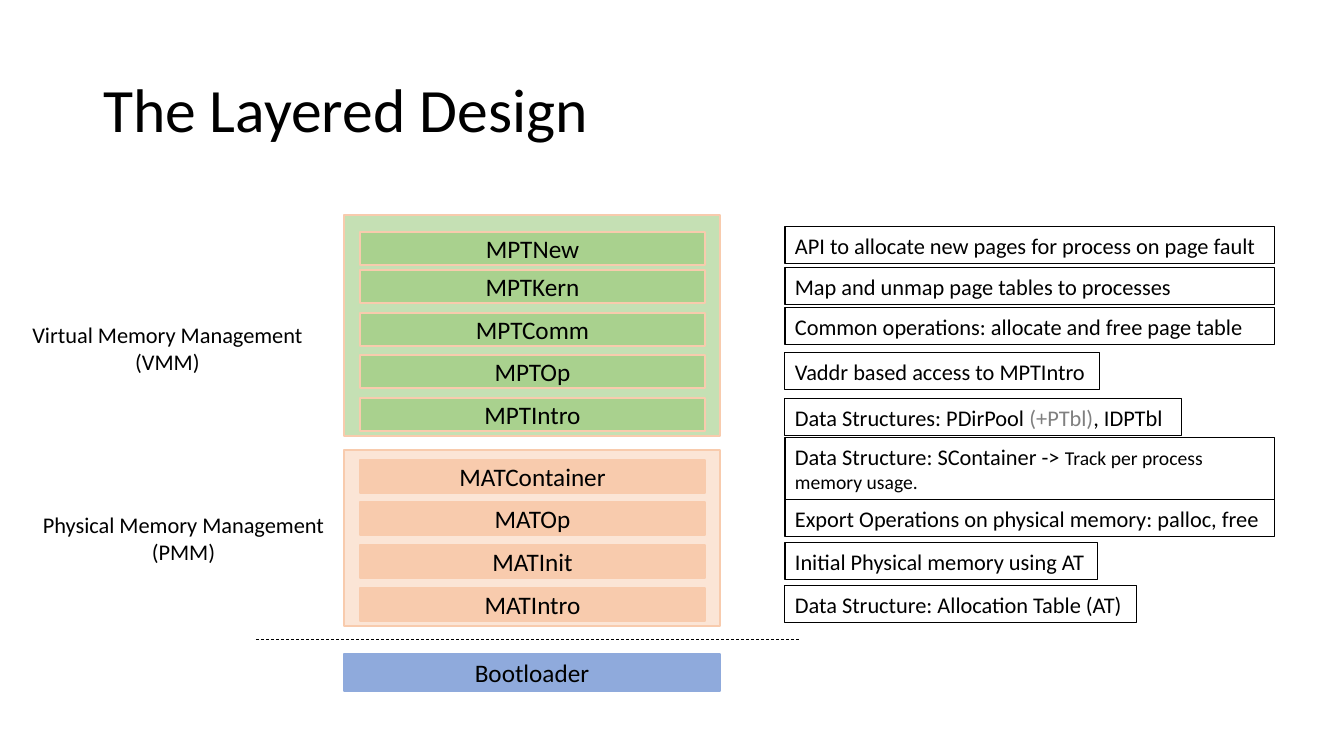
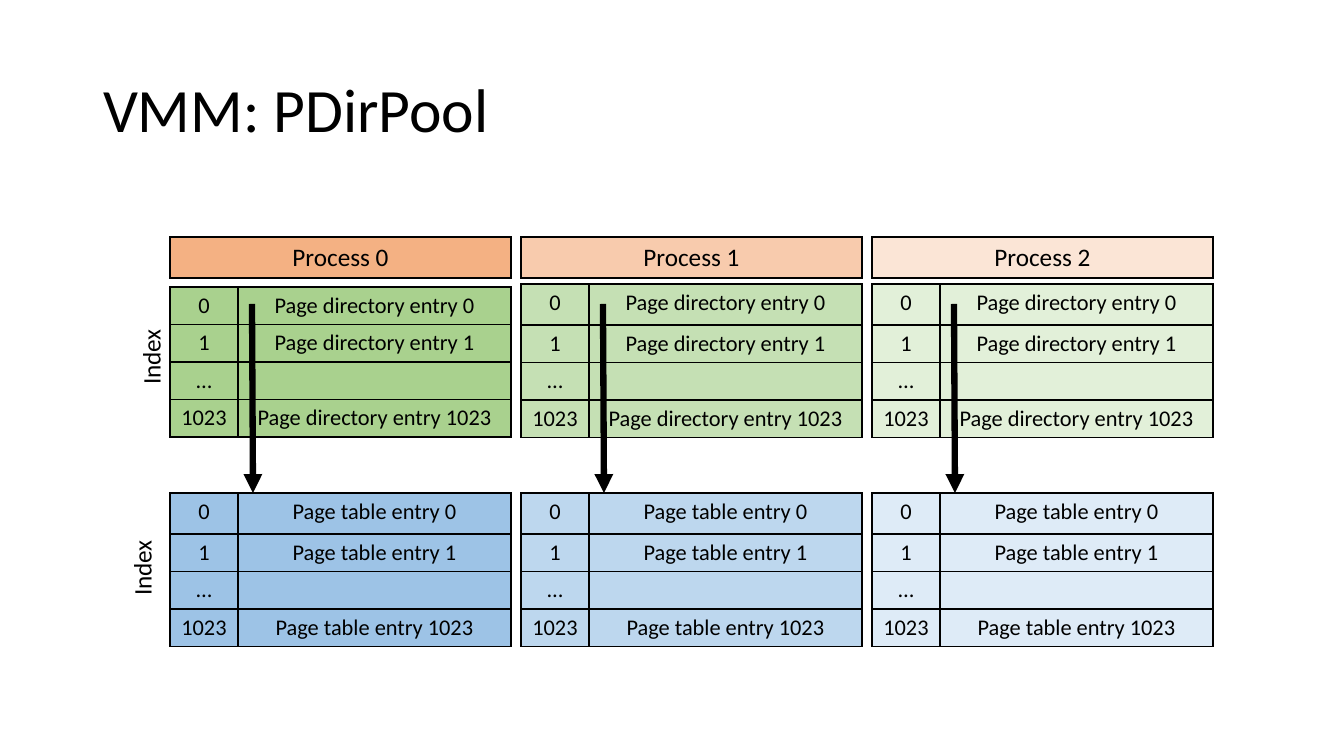
from lxml.etree import SubElement
from pptx import Presentation
from pptx.dml.color import RGBColor
from pptx.enum.dml import MSO_LINE
from pptx.enum.shapes import MSO_CONNECTOR, MSO_SHAPE
from pptx.enum.text import MSO_ANCHOR as ANCHOR, PP_ALIGN as ALIGN
from pptx.oxml.ns import qn
from pptx.util import Emu, Pt

SCALE = 914400 / 100.8
FONT = "Calibri"
BLACK, GREY = "000000", "808080"
GREEN, LIGHT_GREEN, PALE_GREEN = "A9D18E", "C5E0B4", "E2F0D9"
ORANGE, PEACH, PALE_PEACH = "F4B183", "F8CBAD", "FBE5D6"
BLUE, LIGHT_BLUE, PALE_BLUE = "9DC3E6", "BDD7EE", "DEEBF7"
BOOT_BLUE = "8FAADC"

PANEL_LEFT, PANEL_WIDTH = 344, 376
BAR_LEFT, BAR_WIDTH, BAR_HEIGHT = 360, 345, 33
NOTE_LEFT, NOTE_WIDTH, NOTE_HEIGHT = 785, 490, 37

VIRTUAL_LAYERS = [("MPTNew", 232), ("MPTKern", 270), ("MPTComm", 313),
                  ("MPTOp", 355), ("MPTIntro", 398)]
PHYSICAL_LAYERS = [("MATContainer", 460), ("MATOp", 502), ("MATInit", 545),
                   ("MATIntro", 588)]
NOTES = [
    (227, NOTE_WIDTH, NOTE_HEIGHT,
     [("API to allocate new pages for process on page fault", 16, BLACK)]),
    (268, NOTE_WIDTH, NOTE_HEIGHT,
     [("Map and unmap page tables to processes", 16, BLACK)]),
    (308, NOTE_WIDTH, NOTE_HEIGHT,
     [("Common operations: allocate and free page table", 16, BLACK)]),
    (353, 315, NOTE_HEIGHT, [("Vaddr based access to MPTIntro", 16, BLACK)]),
    (399, 397, NOTE_HEIGHT,
     [("Data Structures: PDirPool ", 16, BLACK), ("(+PTbl)", 16, GREY),
      (", IDPTbl", 16, BLACK)]),
    (438, NOTE_WIDTH, 62,
     [("Data Structure: SContainer -> ", 16, BLACK),
      ("Track per process memory usage.", 14, BLACK)]),
    (500, NOTE_WIDTH, NOTE_HEIGHT,
     [("Export Operations on physical memory: palloc, free", 16, BLACK)]),
    (543, 313, NOTE_HEIGHT, [("Initial Physical memory using AT", 16, BLACK)]),
    (586, 352, NOTE_HEIGHT,
     [("Data Structure: Allocation Table (AT)", 16, BLACK)]),
]

PROCESS_LEFT, PROCESS_STEP = 170, 351
INDEX_WIDTH, ENTRY_WIDTH = 68, 273
ROW_HEIGHT, TALL_ROW = 37, 41
TABLES_TOP = 493
PROCESSES = [(ORANGE, GREEN, BLUE, 287, ROW_HEIGHT),
             (PEACH, LIGHT_GREEN, LIGHT_BLUE, 284, TALL_ROW),
             (PALE_PEACH, PALE_GREEN, PALE_BLUE, 284, TALL_ROW)]


def px(*lengths):
    return [Emu(round(length * SCALE)) for length in lengths]


def color(code):
    return RGBColor.from_string(code)


def style_font(font, size, code=BLACK):
    font.name = FONT
    font.size = Pt(size)
    font.color.rgb = color(code)


def write_para(para, text, size, align=ALIGN.CENTER):
    para.text = text
    para.alignment = align
    style_font(para.font, size)


def add_page(deck, title):
    page = deck.slides.add_slide(deck.slide_layouts[5])
    box = page.shapes.title
    box.left, box.top, box.width, box.height = px(93, 40, 1159, 146)
    box.text_frame.vertical_anchor = ANCHOR.MIDDLE
    para = box.text_frame.paragraphs[0]
    write_para(para, title, 44, ALIGN.LEFT)
    para.line_spacing = 0.9
    return page


def add_box(page, bounds, fill, line, weight=1):
    box = page.shapes.add_shape(MSO_SHAPE.RECTANGLE, *px(*bounds))
    box.shadow.inherit = False
    if fill:
        box.fill.solid()
        box.fill.fore_color.rgb = color(fill)
    else:
        box.fill.background()
    box.line.color.rgb = color(line)
    box.line.width = Pt(weight)
    return box


def add_bar(page, text, bounds, fill, line):
    frame = add_box(page, bounds, fill, line).text_frame
    frame.vertical_anchor = ANCHOR.MIDDLE
    write_para(frame.paragraphs[0], text, 18)


def add_note(page, top, width, height, parts):
    box = add_box(page, (NOTE_LEFT, top, width, height), None, BLACK, 0.75)
    frame = box.text_frame
    frame.word_wrap = True
    frame.vertical_anchor = ANCHOR.TOP
    para = frame.paragraphs[0]
    para.alignment = ALIGN.LEFT
    for text, size, code in parts:
        span = para.add_run()
        span.text = text
        style_font(span.font, size, code)


def add_label(page, lines, bounds, size, rotation=0):
    box = page.shapes.add_textbox(*px(*bounds))
    box.rotation = rotation
    frame = box.text_frame
    frame.word_wrap = True
    for number, text in enumerate(lines):
        para = frame.add_paragraph() if number else frame.paragraphs[0]
        write_para(para, text, size)


def add_line(page, start, end, weight):
    line = page.shapes.add_connector(MSO_CONNECTOR.STRAIGHT, *px(*start, *end))
    line.line.color.rgb = color(BLACK)
    line.line.width = Pt(weight)
    SubElement(line._element.spPr, qn("a:effectLst"))
    return line


def add_arrow(page, start, end):
    arrow = add_line(page, start, end, 4.5)
    SubElement(arrow.line._get_or_add_ln(), qn("a:tailEnd"), type="triangle")


def add_borders(cell):
    props = cell._tc.get_or_add_tcPr()
    for side in ("a:lnL", "a:lnR", "a:lnT", "a:lnB"):
        border = SubElement(props, qn(side), w=str(Pt(1)))
        fill = SubElement(border, qn("a:solidFill"))
        SubElement(fill, qn("a:srgbClr"), val=BLACK)


def add_grid(page, left, top, widths, heights, rows, fill, size):
    frame = page.shapes.add_table(
        len(rows), len(widths), *px(left, top, sum(widths), sum(heights)))
    table = frame.table
    table.first_row = False
    table.horz_banding = False
    for column, width in zip(table.columns, px(*widths)):
        column.width = width
    for row, height, texts in zip(table.rows, px(*heights), rows):
        row.height = height
        for cell, text in zip(row.cells, texts):
            add_borders(cell)
            cell.fill.solid()
            cell.fill.fore_color.rgb = color(fill)
            para = cell.text_frame.paragraphs[0]
            write_para(para, text, size)
            if not text:
                SubElement(para._p, qn("a:endParaRPr"), sz=str(size * 100))


def add_entries(page, left, top, first_height, kind, fill):
    rows = [("0", f"{kind} entry 0"), ("1", f"{kind} entry 1"),
            ("…", ""), ("1023", f"{kind} entry 1023")]
    heights = [first_height] + [ROW_HEIGHT] * 3
    add_grid(page, left, top, (INDEX_WIDTH, ENTRY_WIDTH), heights, rows, fill, 16)


def add_layers(page, top, height, panel_fill, bar_fill, layers):
    add_box(page, (PANEL_LEFT, top, PANEL_WIDTH, height), panel_fill, PEACH)
    for name, bar_top in layers:
        add_bar(page, name, (BAR_LEFT, bar_top, BAR_WIDTH, BAR_HEIGHT),
                bar_fill, PEACH)


def build_layers_page(deck):
    page = add_page(deck, "The Layered Design")
    add_layers(page, 215, 221, LIGHT_GREEN, GREEN, VIRTUAL_LAYERS)
    add_layers(page, 450, 176, PALE_PEACH, PEACH, PHYSICAL_LAYERS)
    add_bar(page, "Bootloader", (PANEL_LEFT, 654, PANEL_WIDTH, 37),
            BOOT_BLUE, BOOT_BLUE)
    add_label(page, ["Virtual Memory Management", "(VMM)"],
              (19, 316, 297, 64), 16)
    add_label(page, ["Physical Memory Management", "(PMM)"],
              (31, 506, 305, 64), 16)
    for note in NOTES:
        add_note(page, *note)
    divider = add_line(page, (256, 639), (799, 639), 0.5)
    divider.line.dash_style = MSO_LINE.DASH


def build_directory_page(deck):
    page = add_page(deck, "VMM: PDirPool")
    for number, process in enumerate(PROCESSES):
        head_fill, directory_fill, table_fill, top, first_height = process
        left = PROCESS_LEFT + number * PROCESS_STEP
        add_grid(page, left, 237, [INDEX_WIDTH + ENTRY_WIDTH], [TALL_ROW],
                 [[f"Process {number}"]], head_fill, 18)
        add_entries(page, left, top, first_height, "Page directory",
                    directory_fill)
        add_entries(page, left, TABLES_TOP, TALL_ROW, "Page table", table_fill)
        add_arrow(page, (left + 82, 304), (left + 83, TABLES_TOP))
    for left, top in ((112, 337), (103, 548)):
        add_label(page, ["Index"], (left, top, 77, 40), 18, 270)


def main():
    deck = Presentation()
    deck.slide_width, deck.slide_height = px(1344, 756)
    build_layers_page(deck)
    build_directory_page(deck)
    deck.save("out.pptx")


main()
